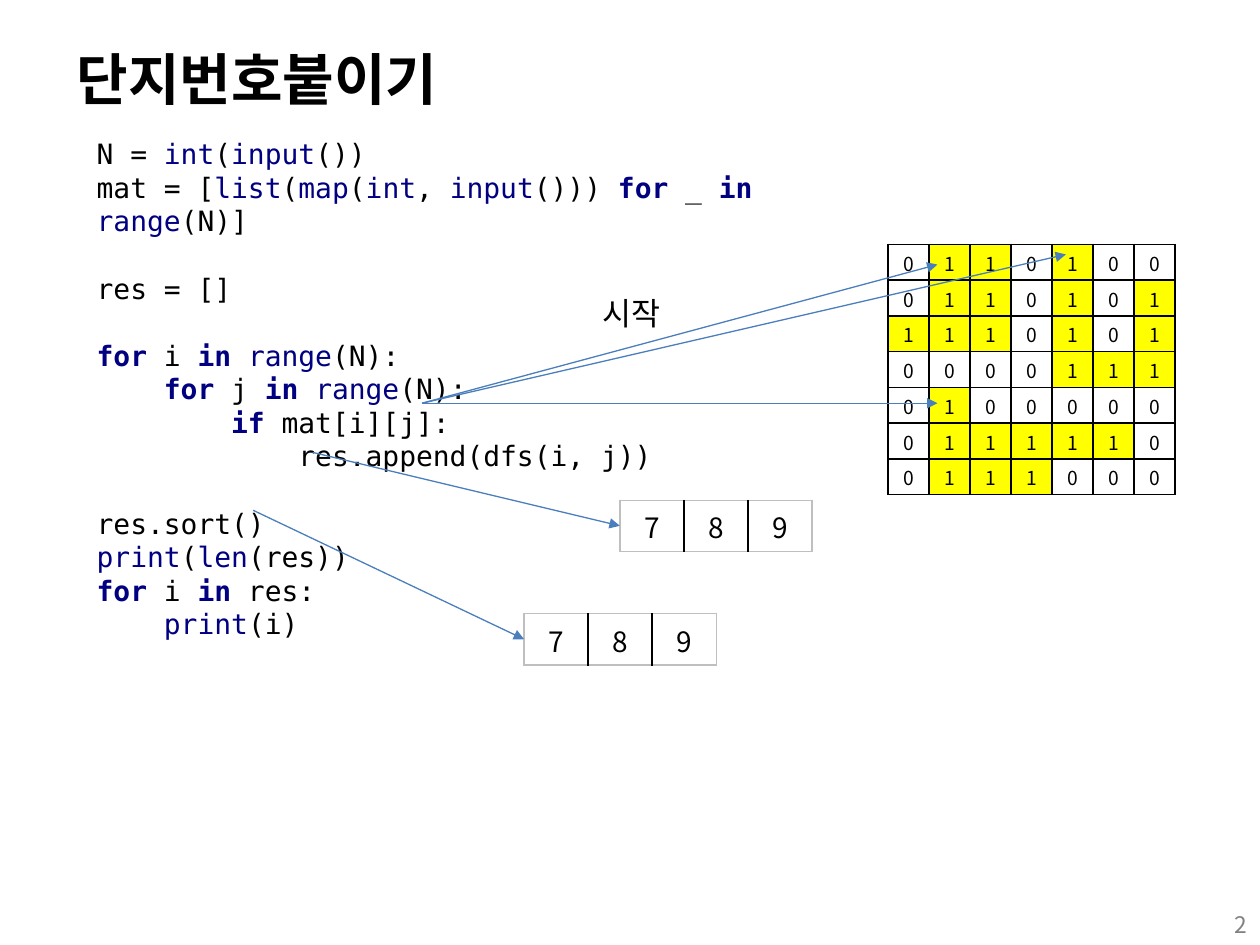
import dataclasses
import itertools

import pptx
import pptx.dml.color
import pptx.enum.shapes
import pptx.enum.text
import pptx.oxml
import pptx.oxml.ns
import pptx.util

Pt = pptx.util.Pt
RGB = pptx.dml.color.RGBColor.from_string
ALIGN = pptx.enum.text.PP_ALIGN
ANCHOR = pptx.enum.text.MSO_ANCHOR


@dataclasses.dataclass(frozen=True)
class Theme:
    """Fonts, colours and type sizes of the slide."""
    sans: str = "Noto Sans CJK KR"
    mono: str = "DejaVu Sans Mono"
    ink: str = "000000"
    paper: str = "FFFFFF"
    keyword: str = "000080"
    house: str = "FFFF00"
    arrow: str = "4B7EBC"
    frame: str = "BFBFBF"
    muted: str = "808080"
    title: float = 32
    label: float = 18
    code: float = 16
    result: float = 16
    number: float = 13
    grid: float = 11


T = Theme()
KEYWORDS = {"for", "in", "if"}
BUILTINS = {"int", "input", "list", "map", "range", "print", "len"}

CODE = """N = int(input())
mat = [list(map(int, input())) for _ in range(N)]

res = []

for i in range(N):
    for j in range(N):
        if mat[i][j]:
            res.append(dfs(i, j))

res.sort()
print(len(res))
for i in res:
    print(i)"""

HOUSES = ["0110100", "0110101", "1110101", "0000111",
          "0100000", "0111110", "0111000"]


def add_run(p, text, size, color=T.ink, font=T.sans, bold=False):
    """Append one formatted run to a paragraph."""
    r = p.add_run()
    r.text = text
    r.font.size, r.font.bold, r.font.name = Pt(size), bold, font
    r.font.color.rgb = RGB(color)
    ea = pptx.oxml.parse_xml(f'<a:ea {pptx.oxml.ns.nsdecls("a")} typeface="{font}"/>')
    r.font._element.find(pptx.oxml.ns.qn("a:latin")).addnext(ea)


def add_break(p, size, font):
    """Append a line break as tall as the text around it."""
    p.add_line_break()
    p._p.findall(pptx.oxml.ns.qn("a:br"))[-1].append(pptx.oxml.parse_xml(
        f'<a:rPr {pptx.oxml.ns.nsdecls("a")} sz="{size * 100}">'
        f'<a:latin typeface="{font}"/><a:ea typeface="{font}"/></a:rPr>'))


def add_title(s, box, text):
    """Move and fill the title placeholder."""
    sp = s.shapes.title
    sp.left, sp.top, sp.width, sp.height = map(Pt, box)
    tf = sp.text_frame
    tf.vertical_anchor = ANCHOR.TOP
    p = tf.paragraphs[0]
    p.alignment = ALIGN.LEFT
    add_run(p, text, T.title, bold=True)


def add_label(s, box, text, size, color=T.ink, align=ALIGN.LEFT):
    """Place one line of text in a text box."""
    tf = s.shapes.add_textbox(*map(Pt, box)).text_frame
    tf.word_wrap = True
    p = tf.paragraphs[0]
    p.alignment = align
    add_run(p, text, size, color)


def code_style(word):
    """Return the colour and weight of a word of code."""
    navy = word in KEYWORDS | BUILTINS
    return T.keyword if navy else T.ink, word in KEYWORDS


def add_code(s, box, code):
    """Place a code listing with coloured keywords."""
    sp = s.shapes.add_shape(pptx.enum.shapes.MSO_SHAPE.RECTANGLE, *map(Pt, box))
    sp.shadow.inherit = False
    sp.fill.solid()
    sp.fill.fore_color.rgb = RGB(T.paper)
    sp.line.fill.background()
    tf = sp.text_frame
    tf.word_wrap = True
    tf.auto_size = pptx.enum.text.MSO_AUTO_SIZE.SHAPE_TO_FIT_TEXT
    tf.vertical_anchor = ANCHOR.MIDDLE
    p = tf.paragraphs[0]
    p.alignment = ALIGN.LEFT
    for i, line in enumerate(code.split("\n")):
        if i:
            add_break(p, T.code, T.mono)
        words = ["".join(g) for _, g in itertools.groupby(line, str.isalpha)]
        for (color, bold), group in itertools.groupby(words, code_style):
            add_run(p, "".join(group), T.code, color, T.mono, bold)


def set_borders(cell, colors):
    """Draw the left, right, top and bottom borders of a cell."""
    for side, color in zip("LRTB", colors):
        cell._tc.get_or_add_tcPr().append(pptx.oxml.parse_xml(
            f'<a:ln{side} {pptx.oxml.ns.nsdecls("a")} w="{Pt(1)}"><a:solidFill>'
            f'<a:srgbClr val="{color}"/></a:solidFill></a:ln{side}>'))


def add_digits(s, box, rows, size, frame, margins=None, mark=None):
    """Place a table of single digits, filling the cells that hold the mark."""
    n, m = len(rows), len(rows[0])
    table = s.shapes.add_table(n, m, *map(Pt, box)).table
    table.first_row = table.horz_banding = False
    for i, j in itertools.product(range(n), range(m)):
        cell = table.cell(i, j)
        edges = (j == 0, j == m - 1, i == 0, i == n - 1)
        set_borders(cell, [frame if edge else T.ink for edge in edges])
        cell.vertical_anchor = ANCHOR.MIDDLE
        if margins:
            (cell.margin_left, cell.margin_top,
             cell.margin_right, cell.margin_bottom) = map(Pt, margins)
        if rows[i][j] == mark:
            cell.fill.solid()
            cell.fill.fore_color.rgb = RGB(T.house)
        else:
            cell.fill.background()
        p = cell.text_frame.paragraphs[0]
        p.alignment = ALIGN.CENTER
        add_run(p, rows[i][j], size)


def add_arrow(s, start, end):
    """Draw a straight arrow between two points."""
    c = s.shapes.add_connector(pptx.enum.shapes.MSO_CONNECTOR.STRAIGHT,
                               *map(Pt, start + end))
    c.line.color.rgb, c.line.width = RGB(T.arrow), Pt(0.75)
    ns = pptx.oxml.ns.nsdecls("a")
    c.line._get_or_add_ln().append(
        pptx.oxml.parse_xml(f'<a:tailEnd {ns} type="triangle"/>'))
    c._element.spPr.append(pptx.oxml.parse_xml(f"<a:effectLst {ns}/>"))


def add_result(s, box, start):
    """Place a row of results and the arrow that leads to it."""
    add_digits(s, box, ["789"], T.result, T.frame)
    left, top, _, height = box
    add_arrow(s, start, (left, top + height / 2))


def main():
    """Build and save the slide."""
    prs = pptx.Presentation()
    prs.slide_width, prs.slide_height = Pt(720), Pt(540)
    s = prs.slides.add_slide(prs.slide_layouts[5])
    add_label(s, (552.2, 517, 167.8, 28.8), "2", T.number, T.muted, ALIGN.RIGHT)
    add_title(s, (36.7, 21.6, 687.6, 62.6), "단지번호붙이기")
    add_code(s, (48.2, 82.8, 470.9, 278.6), CODE)
    add_digits(s, (507.4, 139.7, 164.2, 143), HOUSES, T.grid, T.ink,
               (0.7, 0.7, 0.7, 0), "1")
    add_label(s, (337.2, 164.2, 56.9, 28.8), "시작", T.label)
    for end in ((535.7, 151.2), (609.1, 145.4), (535.7, 230.4)):
        add_arrow(s, (241.2, 230.4), end)
    add_result(s, (354.2, 285.9, 109.8, 29.2), (178.6, 258.5))
    add_result(s, (299.5, 350.7, 109.8, 29.2), (144.7, 291.6))
    prs.save("out.pptx")


if __name__ == "__main__":
    main()
